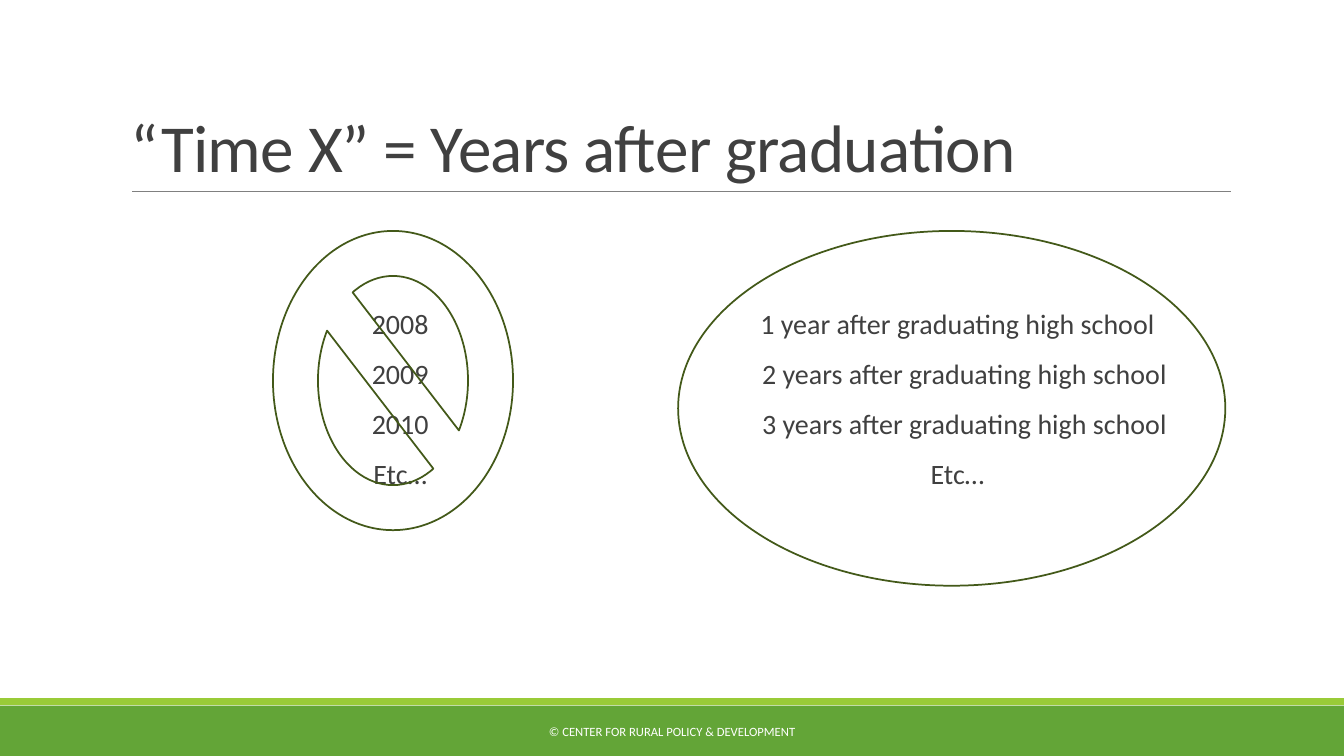
from lxml import etree
from pptx import Presentation
from pptx.dml.color import RGBColor
from pptx.enum.shapes import MSO_CONNECTOR, MSO_SHAPE
from pptx.enum.text import MSO_ANCHOR, PP_ALIGN
from pptx.oxml.ns import qn
from pptx.util import Cm, Pt

RECTANGLE = MSO_SHAPE.RECTANGLE
OVAL = MSO_SHAPE.OVAL
NO_SYMBOL = MSO_SHAPE.NO_SYMBOL
STRAIGHT = MSO_CONNECTOR.STRAIGHT
TOP, MIDDLE, BOTTOM = MSO_ANCHOR.TOP, MSO_ANCHOR.MIDDLE, MSO_ANCHOR.BOTTOM
LEFT, CENTER = PP_ALIGN.LEFT, PP_ALIGN.CENTER

GREEN = RGBColor(0x63, 0xA5, 0x37)
LIME = RGBColor(0x99, 0xCB, 0x38)
DARK_GREEN = RGBColor(0x43, 0x59, 0x19)
GRAY = RGBColor(0x80, 0x80, 0x80)
TEXT_GRAY = RGBColor(0x40, 0x40, 0x40)
WHITE = RGBColor(0xFF, 0xFF, 0xFF)

FONT = "Calibri"
SLIDE_WIDTH, SLIDE_HEIGHT = 33.87, 19.05
LEFT_MARGIN = 3.05
COLUMN_TOP, COLUMN_WIDTH, COLUMN_HEIGHT = 7.7, 13.72, 8.6
COLUMN_STEP = 14.22
MARK_TOP = 5.82

# Each line is paired with whether it carries the blank hanging bullet
CALENDAR_YEARS = [("2008", True), ("2009", True), ("2010", True), ("Etc…", True)]
YEARS_AFTER = [
    ("1 year after graduating high school", False),
    ("2 years after graduating high school", True),
    ("3 years after graduating high school", True),
    ("Etc…", False),
]


def add_band(slide, top, height, color):
    band = slide.shapes.add_shape(
        RECTANGLE, Cm(0), Cm(top), Cm(SLIDE_WIDTH), Cm(height))
    band.shadow.inherit = False
    band.fill.solid()
    band.fill.fore_color.rgb = color
    band.line.fill.background()


def add_outline(slide, kind, left, width, height):
    outline = slide.shapes.add_shape(
        kind, Cm(left), Cm(MARK_TOP), Cm(width), Cm(height))
    outline.shadow.inherit = False
    outline.fill.background()
    outline.line.color.rgb = DARK_GREEN
    outline.line.width = Pt(1.25)


def add_title_rule(slide):
    rule = slide.shapes.add_connector(
        STRAIGHT, Cm(3.33), Cm(4.82), Cm(31.01), Cm(4.82))
    rule.line.color.rgb = GRAY
    rule.line.width = Pt(0.5)
    etree.SubElement(rule._element.spPr, qn("a:effectLst"))


def add_text_frame(slide, left, top, width, height, anchor):
    box = slide.shapes.add_textbox(Cm(left), Cm(top), Cm(width), Cm(height))
    frame = box.text_frame
    frame.word_wrap = True
    frame.vertical_anchor = anchor
    return frame


def style_paragraph(paragraph, size, color, alignment):
    paragraph.alignment = alignment
    paragraph.font.name = FONT
    paragraph.font.size = Pt(size)
    paragraph.font.color.rgb = color


def add_blank_bullet(paragraph):
    """Give the paragraph a hanging indent with a space as its bullet."""
    properties = paragraph._p.get_or_add_pPr()
    properties.set("marL", str(Cm(0.25)))
    properties.set("indent", str(-Cm(0.25)))
    bullet_color = etree.SubElement(properties, qn("a:buClr"))
    etree.SubElement(bullet_color, qn("a:srgbClr"), val=str(LIME))
    etree.SubElement(properties, qn("a:buChar"), char=" ")


def add_title(slide, text):
    frame = add_text_frame(slide, LEFT_MARGIN, 0.79, 27.94, 4.04, BOTTOM)
    paragraph = frame.paragraphs[0]
    run = paragraph.add_run()
    run.text = text
    run._r.get_or_add_rPr().set("spc", "-50")
    paragraph.line_spacing = 0.85
    style_paragraph(paragraph, 48, TEXT_GRAY, LEFT)


def add_column(slide, left, lines):
    frame = add_text_frame(
        slide, left, COLUMN_TOP, COLUMN_WIDTH, COLUMN_HEIGHT, TOP)
    frame.margin_left = frame.margin_right = 0
    for index, (text, has_bullet) in enumerate(lines):
        paragraph = frame.add_paragraph() if index else frame.paragraphs[0]
        paragraph.text = text
        paragraph.line_spacing = 0.9
        paragraph.space_before = Pt(12 if index else 0)
        paragraph.space_after = Pt(2)
        if has_bullet:
            add_blank_bullet(paragraph)
        style_paragraph(paragraph, 20, TEXT_GRAY, CENTER)


def add_footer(slide, text):
    frame = add_text_frame(slide, 10.24, 17.93, 13.39, 1.02, MIDDLE)
    paragraph = frame.paragraphs[0]
    paragraph.text = text
    style_paragraph(paragraph, 9, WHITE, CENTER)


def main():
    presentation = Presentation()
    presentation.slide_width = Cm(SLIDE_WIDTH)
    presentation.slide_height = Cm(SLIDE_HEIGHT)
    slide = presentation.slides.add_slide(presentation.slide_layouts[6])

    add_band(slide, 17.78, 1.27, GREEN)
    add_band(slide, 17.59, 0.18, LIME)
    add_title_rule(slide)
    add_title(slide, "“Time X” = Years after graduation")
    for index, lines in enumerate([CALENDAR_YEARS, YEARS_AFTER]):
        add_column(slide, LEFT_MARGIN + index * COLUMN_STEP, lines)
    add_footer(slide, "© CENTER FOR RURAL POLICY & DEVELOPMENT")
    add_outline(slide, NO_SYMBOL, 6.88, 6.05, 7.54)
    add_outline(slide, OVAL, 17.09, 13.79, 8.94)

    presentation.save("out.pptx")


if __name__ == "__main__":
    main()
